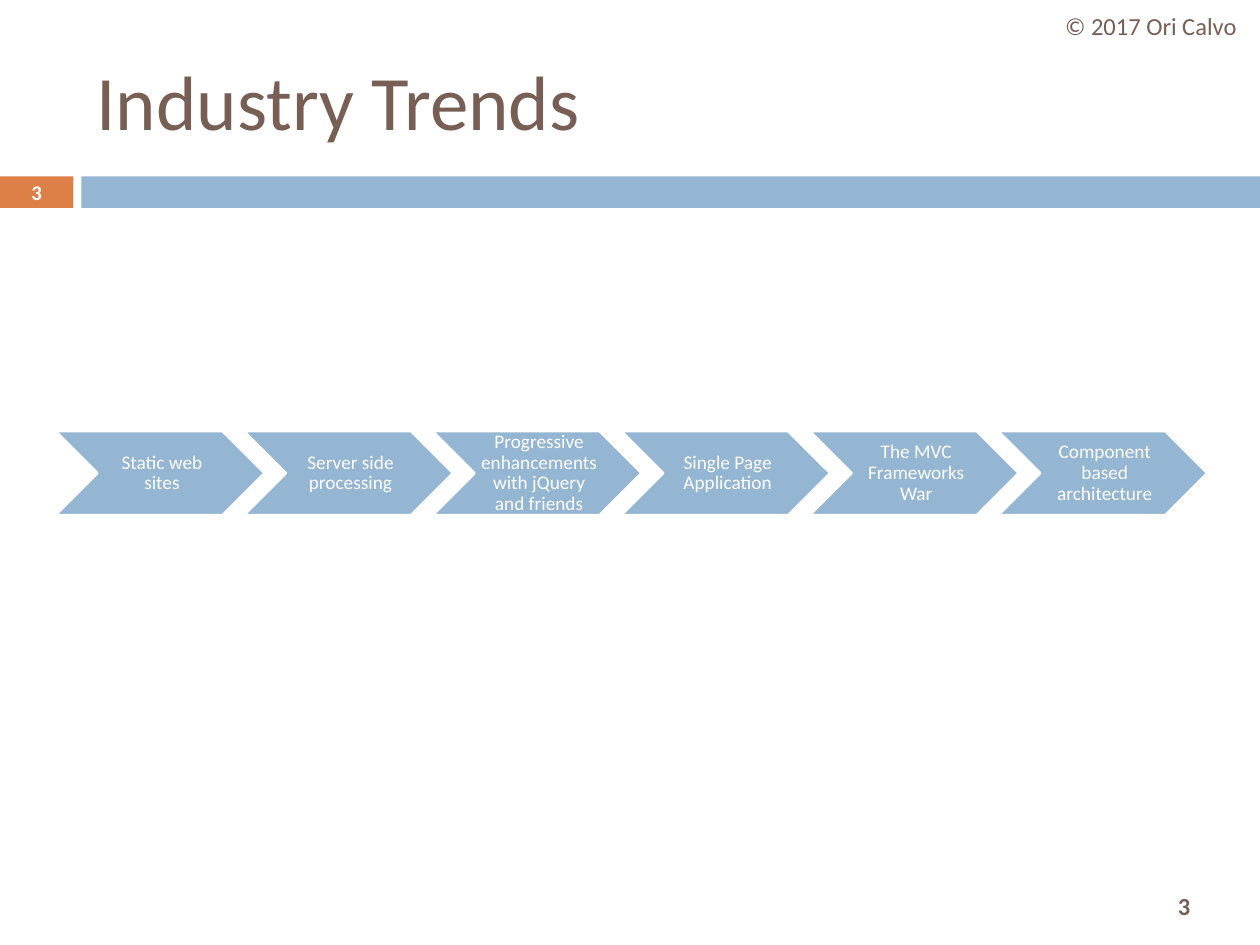
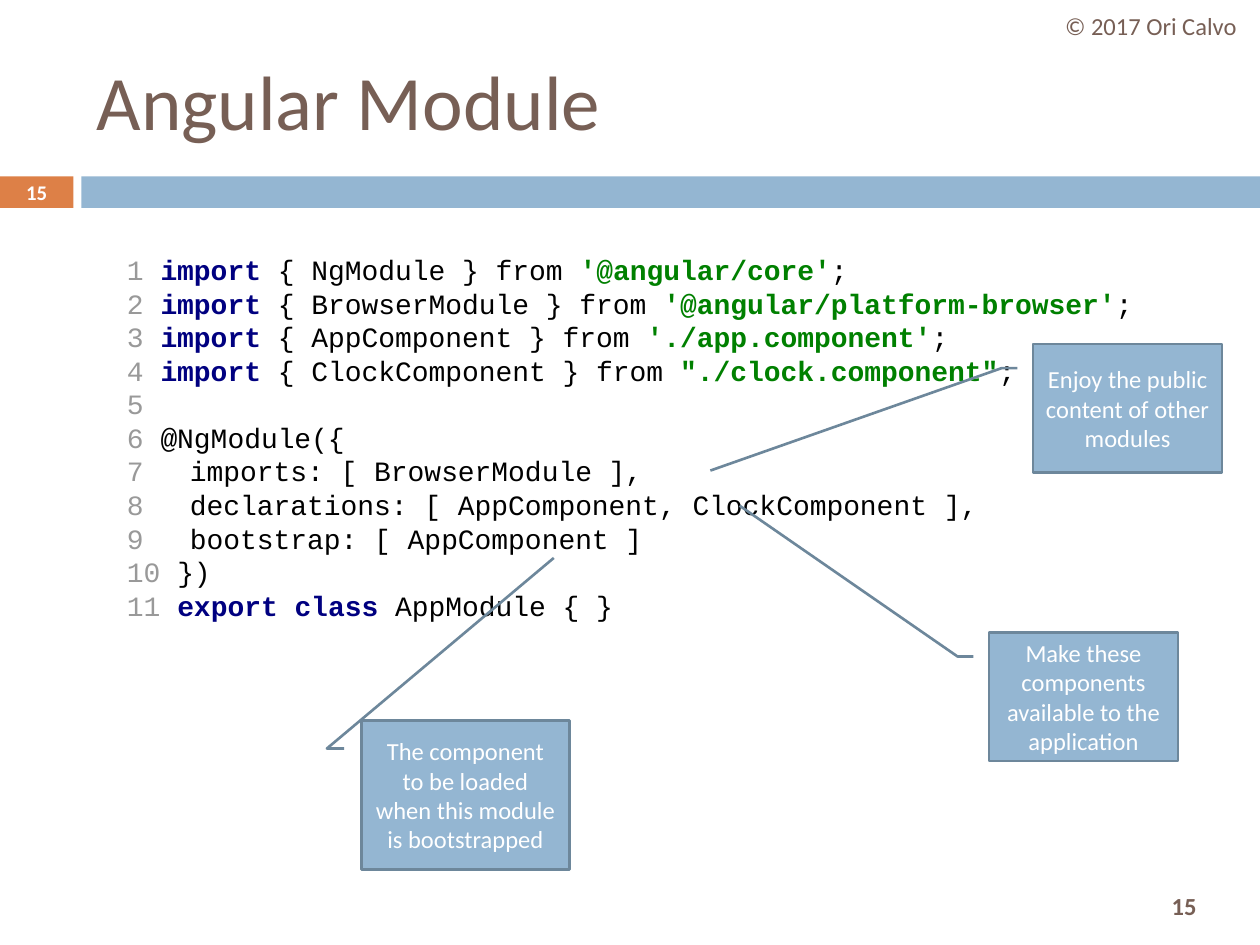
"""Build two slides on web industry trends and the Angular module."""
from pptx import Presentation
from pptx.dml.color import RGBColor
from pptx.enum import shapes, text
from pptx.util import Pt

BROWN = RGBColor(0x77, 0x5F, 0x55)
ORANGE = RGBColor(0xDD, 0x80, 0x47)
BLUE = RGBColor(0x94, 0xB6, 0xD2)
SLATE = RGBColor(0x6D, 0x87, 0x9B)
WHITE = RGBColor(0xFF, 0xFF, 0xFF)
BLACK = RGBColor(0, 0, 0)
GREY = RGBColor(0x99, 0x99, 0x99)
NAVY = RGBColor(0, 0, 0x80)
GREEN = RGBColor(0, 0x80, 0)

LEFT, CENTER = text.PP_ALIGN.LEFT, text.PP_ALIGN.CENTER
SHAPE = shapes.MSO_SHAPE

COPYRIGHT = "© 2017 Ori Calvo"
TRENDS = [
    "Static web sites",
    "Server side processing",
    "Progressive enhancements with jQuery and friends",
    "Single Page Application",
    "The MVC Frameworks War",
    "Component based architecture",
]
CODE = [
    ("import", " { NgModule } from ", "'@angular/core'", ";"),
    ("import", " { BrowserModule } from ", "'@angular/platform-browser'", ";"),
    ("import", " { AppComponent } from ", "'./app.component'", ";"),
    ("import", " { ClockComponent } from ", '"./clock.component"', ";"),
    (),
    ("@NgModule({",),
    ("\timports: [ BrowserModule ],",),
    ("\tdeclarations: [ AppComponent, ClockComponent ],",),
    ("\tbootstrap: [ AppComponent ]",),
    ("})",),
    ("export class ", "AppModule { }"),
]
KEYWORDS = ("import", "export class ")
CALLOUTS = [
    ("Enjoy the public content of other modules",
     (590.4, 196.6, 108, 73.4), (0.985, -1.708)),
    ("Make these components available to the application",
     (565.2, 361.4, 108, 73.4), (-0.987, -1.32)),
    ("The component to be loaded when this module is bootstrapped",
     (206.6, 411.8, 118.8, 85), (-1.094, 0.925)),
]
CALLOUT_ELBOW = (0.1875, -0.0833, 0.1875, -0.1667)

CHEVRON_LEFT, CHEVRON_TOP, CHEVRON_PITCH = 31.7, 246.4, 107.75
CHEVRON_WIDTH, CHEVRON_HEIGHT = 119.5, 48


def write(shape, content, size=14, color=WHITE, bold=False, font="Calibri",
          align=CENTER, spacing=None, insets=(7.2, 3.6, 7.2, 3.6)):
    """Fill a shape with a string or with paragraphs of (text, colour, bold) runs."""
    frame = shape.text_frame
    frame.word_wrap = True
    frame.auto_size = text.MSO_AUTO_SIZE.NONE
    frame.vertical_anchor = text.MSO_ANCHOR.MIDDLE
    (frame.margin_left, frame.margin_top,
     frame.margin_right, frame.margin_bottom) = map(Pt, insets)
    lines = [[(content, color, bold)]] if isinstance(content, str) else content
    for index, runs in enumerate(lines):
        paragraph = frame.add_paragraph() if index else frame.paragraphs[0]
        paragraph.alignment = align
        if spacing:
            paragraph.line_spacing = spacing
        for words, run_color, run_bold in runs:
            run = paragraph.add_run()
            run.text = words
            run.font.name = font
            run.font.size = Pt(size)
            run.font.bold = run_bold
            run.font.color.rgb = run_color


def add_box(slide, kind, bounds, fill, line=None):
    """Add a flat preset shape."""
    shape = slide.shapes.add_shape(kind, *map(Pt, bounds))
    shape.shadow.inherit = False
    shape.fill.solid()
    shape.fill.fore_color.rgb = fill
    if line is None:
        shape.line.fill.background()
    else:
        shape.line.color.rgb = line
        shape.line.width = Pt(1.5)
    return shape


def add_label(slide, bounds, content, **style):
    """Add a text box."""
    write(slide.shapes.add_textbox(*map(Pt, bounds)), content, **style)


def add_slide(presentation, heading, number):
    """Add a slide with the shared title, bands, copyright and numbers."""
    slide = presentation.slides.add_slide(presentation.slide_layouts[5])
    add_box(slide, SHAPE.RECTANGLE, (0, 100.8, 42, 18), ORANGE)
    add_box(slide, SHAPE.RECTANGLE, (46.5, 100.8, 673.5, 18), BLUE)
    title = slide.shapes.title
    title.left, title.top, title.width, title.height = map(Pt, (48, 18, 642, 78))
    write(title, heading, size=44, color=BROWN, align=LEFT)
    add_label(slide, (595.4, 0, 124.6, 29), COPYRIGHT, color=BROWN)
    add_label(slide, (0, 100, 42, 19.5), number, size=11.9, bold=True)
    add_label(slide, (643.7, 502.6, 66, 30), number, color=BROWN, bold=True)
    return slide


def highlight(token):
    """Return a code token as a run with its colour and weight."""
    if token in KEYWORDS:
        return token, NAVY, True
    if token[0] in "'\"":
        return token, GREEN, True
    return token, BLACK, False


def add_trends(slide):
    """Lay the trends out as a row of chevrons."""
    for index, trend in enumerate(TRENDS):
        left = CHEVRON_LEFT + index * CHEVRON_PITCH
        bounds = (left, CHEVRON_TOP, CHEVRON_WIDTH, CHEVRON_HEIGHT)
        chevron = add_box(slide, SHAPE.CHEVRON, bounds, BLUE, WHITE)
        write(chevron, trend, size=11, spacing=0.9, insets=(3.5, 1.2, 1.2, 1.2))


def add_code(slide):
    """Add the numbered listing and its callouts."""
    listing = add_box(slide, SHAPE.RECTANGLE, (65.5, 139.7, 607.7, 220.3), WHITE)
    lines = [[(f"{number} ", GREY, False), *map(highlight, tokens)]
             for number, tokens in enumerate(CODE, 1)]
    write(listing, lines, size=16, font="Courier New", align=LEFT)
    for words, bounds, target in CALLOUTS:
        callout = add_box(slide, SHAPE.LINE_CALLOUT_2, bounds, BLUE, SLATE)
        for index, value in enumerate(CALLOUT_ELBOW + target):
            callout.adjustments[index] = value
        write(callout, words)


presentation = Presentation()
presentation.slide_width, presentation.slide_height = Pt(720), Pt(540)
add_trends(add_slide(presentation, "Industry Trends", "3"))
add_code(add_slide(presentation, "Angular Module", "15"))
presentation.save("out.pptx")
